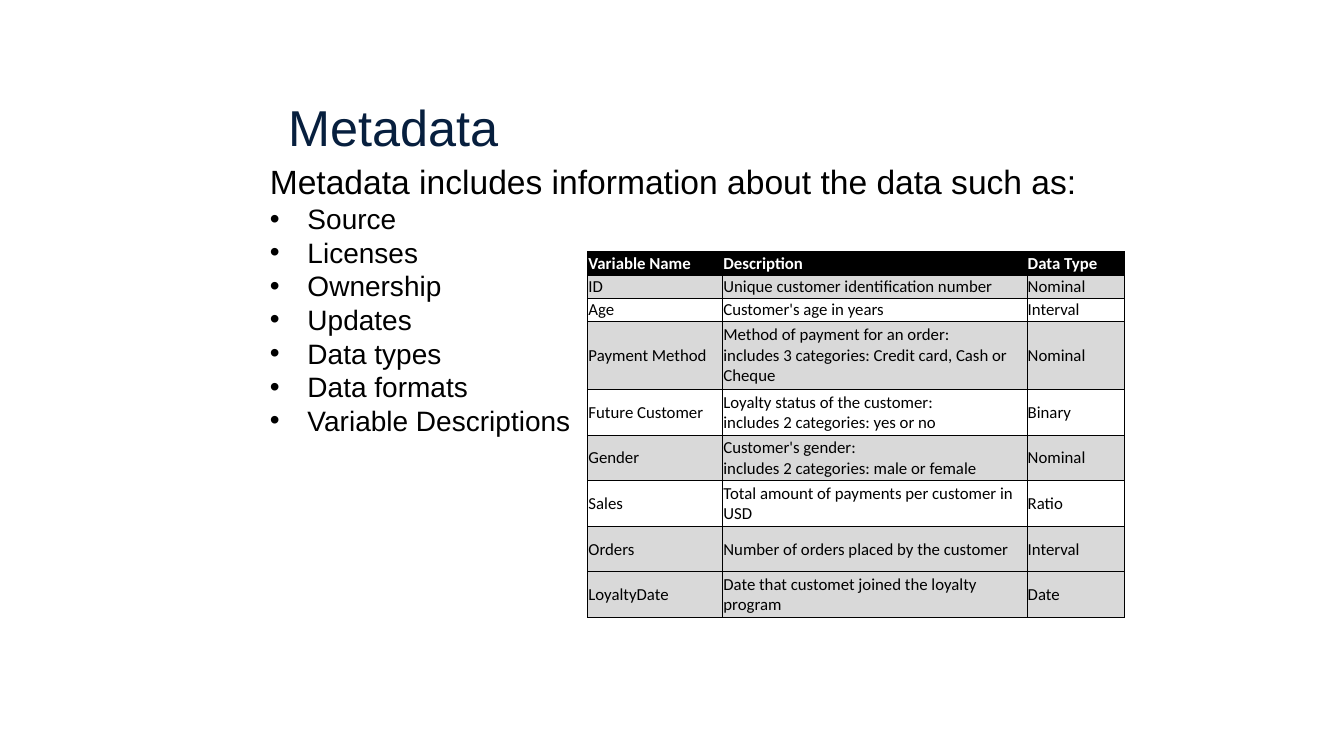
from lxml import etree
from pptx import Presentation
from pptx.dml.color import RGBColor
from pptx.enum.text import MSO_ANCHOR, MSO_AUTO_SIZE, PP_ALIGN
from pptx.oxml.ns import qn
from pptx.util import Cm, Pt

# Content
HEADING = "Metadata"
INTRO = "Metadata includes information about the data such as:"
TOPICS = ["Source", "Licenses", "Ownership", "Updates", "Data types",
          "Data formats", "Variable Descriptions"]
COLUMNS = [("Variable Name", 3.4), ("Description", 7.67), ("Data Type", 2.46)]
# name, description, data type, row height in cm, shaded
VARIABLES = [
    ("ID", "Unique customer identification number", "Nominal", 0.58, True),
    ("Age", "Customer's age in years", "Interval", 0.58, False),
    ("Payment Method", "Method of payment for an order:\n"
     "includes 3 categories: Credit card, Cash or Cheque", "Nominal", 1.72, True),
    ("Future Customer", "Loyalty status of the customer:\n"
     "includes 2 categories: yes or no", "Binary", 1.15, False),
    ("Gender", "Customer's gender:\nincludes 2 categories: male or female",
     "Nominal", 1.15, True),
    ("Sales", "Total amount of payments per customer in USD", "Ratio", 1.15, False),
    ("Orders", "Number of orders placed by the customer", "Interval", 1.15, True),
    ("LoyaltyDate", "Date that customet joined the loyalty program", "Date", 1.15, True),
]
HEADER_HEIGHT = 0.58
BLACK, WHITE, NAVY, GREY = "000000", "FFFFFF", "071F3E", "D9D9D9"


def color(value):
    return RGBColor.from_string(value)


def set_font(paragraph, name, size, value, bold=False):
    font = paragraph.font
    font.name, font.size, font.bold = name, Pt(size), bold
    font.color.rgb = color(value)


def add_bullet(paragraph, indent):
    properties = paragraph._p.get_or_add_pPr()
    properties.set("marL", str(indent))
    properties.set("indent", str(-indent))
    etree.SubElement(properties, qn("a:buFont")).set("typeface", "Arial")
    etree.SubElement(properties, qn("a:buChar")).set("char", "•")


def add_border(cell, side, width):
    line = etree.SubElement(cell._tc.get_or_add_tcPr(), qn(f"a:ln{side}"))
    line.set("w", str(Pt(width)))
    fill = etree.SubElement(line, qn("a:solidFill"))
    etree.SubElement(fill, qn("a:srgbClr")).set("val", BLACK)


presentation = Presentation()
presentation.slide_width, presentation.slide_height = Cm(33.87), Cm(19.05)
slide = presentation.slides.add_slide(presentation.slide_layouts[5])

# Title
title = slide.shapes.title
title.left, title.top, title.width, title.height = Cm(7.01), Cm(1.88), Cm(24.51), Cm(2.79)
title.text_frame.text = HEADING
title.text_frame.vertical_anchor = MSO_ANCHOR.MIDDLE
heading = title.text_frame.paragraphs[0]
heading.alignment = PP_ALIGN.LEFT
heading.line_spacing = 0.9
set_font(heading, "Arial", 36, NAVY)

# Intro and bulleted topics
topics = slide.shapes.add_textbox(Cm(6.55), Cm(3.94), Cm(21.16), Cm(8.03)).text_frame
topics.word_wrap = True
topics.auto_size = MSO_AUTO_SIZE.SHAPE_TO_FIT_TEXT
topics.text = INTRO
set_font(topics.paragraphs[0], "Arial", 24, BLACK)
for topic in TOPICS:
    paragraph = topics.add_paragraph()
    paragraph.text = topic
    add_bullet(paragraph, Cm(0.95))
    set_font(paragraph, "Arial", 20, BLACK)

# Variable table: each row is (texts, height, fill, text colour)
names, widths = zip(*COLUMNS)
rows = [(names, HEADER_HEIGHT, BLACK, WHITE)]
rows += [(texts, height, GREY if shaded else None, BLACK)
         for *texts, height, shaded in VARIABLES]
variables = slide.shapes.add_table(
    len(rows), len(names), Cm(14.81), Cm(6.35), Cm(sum(widths)),
    Cm(sum(row[1] for row in rows))).table
variables.horz_banding = False
for column, width in zip(variables.columns, widths):
    column.width = Cm(width)

for index, (texts, height, fill, ink) in enumerate(rows):
    variables.rows[index].height = Cm(height)
    top = 1 if index == 0 else 0.5
    bottom = 1 if index == len(rows) - 1 else 0.5
    for cell, text in zip(variables.rows[index].cells, texts):
        cell.margin_left = cell.margin_right = cell.margin_top = Cm(0.02)
        cell.margin_bottom = 0
        cell.vertical_anchor = MSO_ANCHOR.MIDDLE
        for side, weight in (("L", 0.5), ("R", 0.5), ("T", top), ("B", bottom)):
            add_border(cell, side, weight)
        if fill:
            cell.fill.solid()
            cell.fill.fore_color.rgb = color(fill)
        else:
            cell.fill.background()
        paragraph = cell.text_frame.paragraphs[0]
        paragraph.text = text
        set_font(paragraph, "Calibri", 12, ink, bold=index == 0)

presentation.save("out.pptx")
